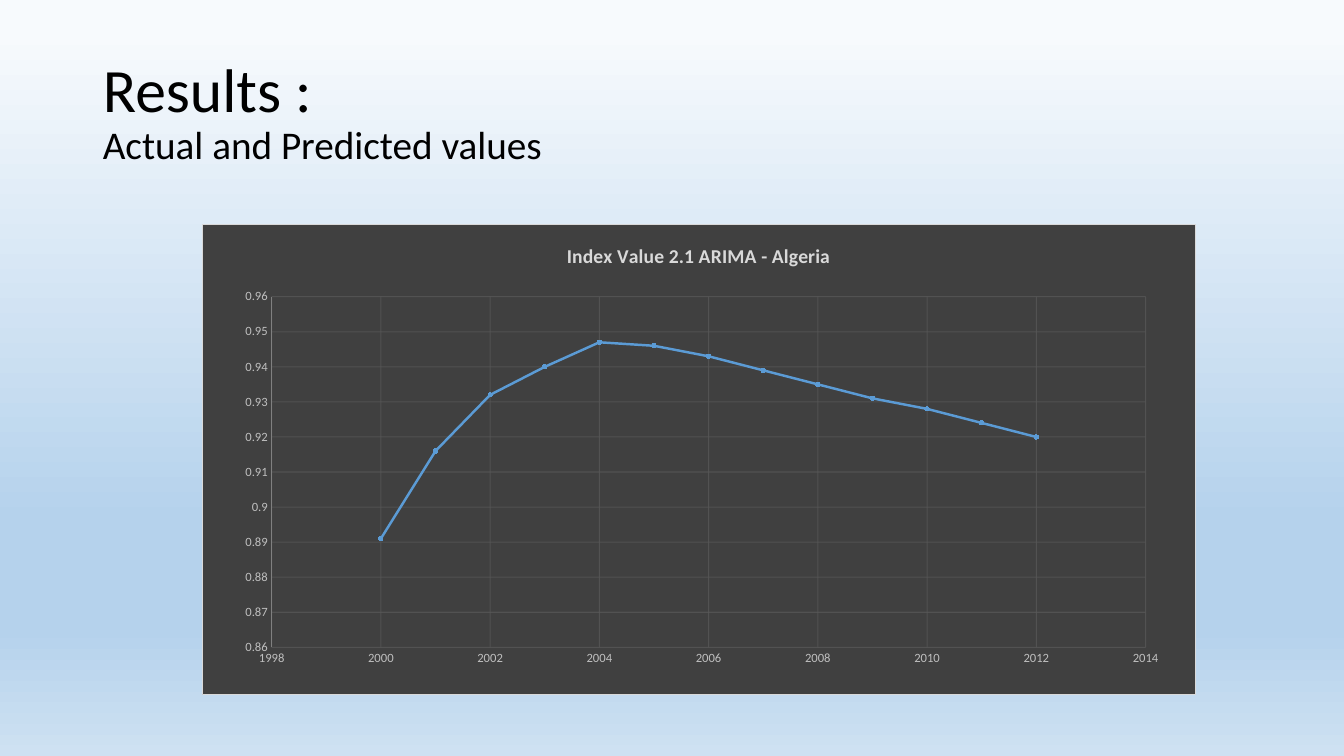
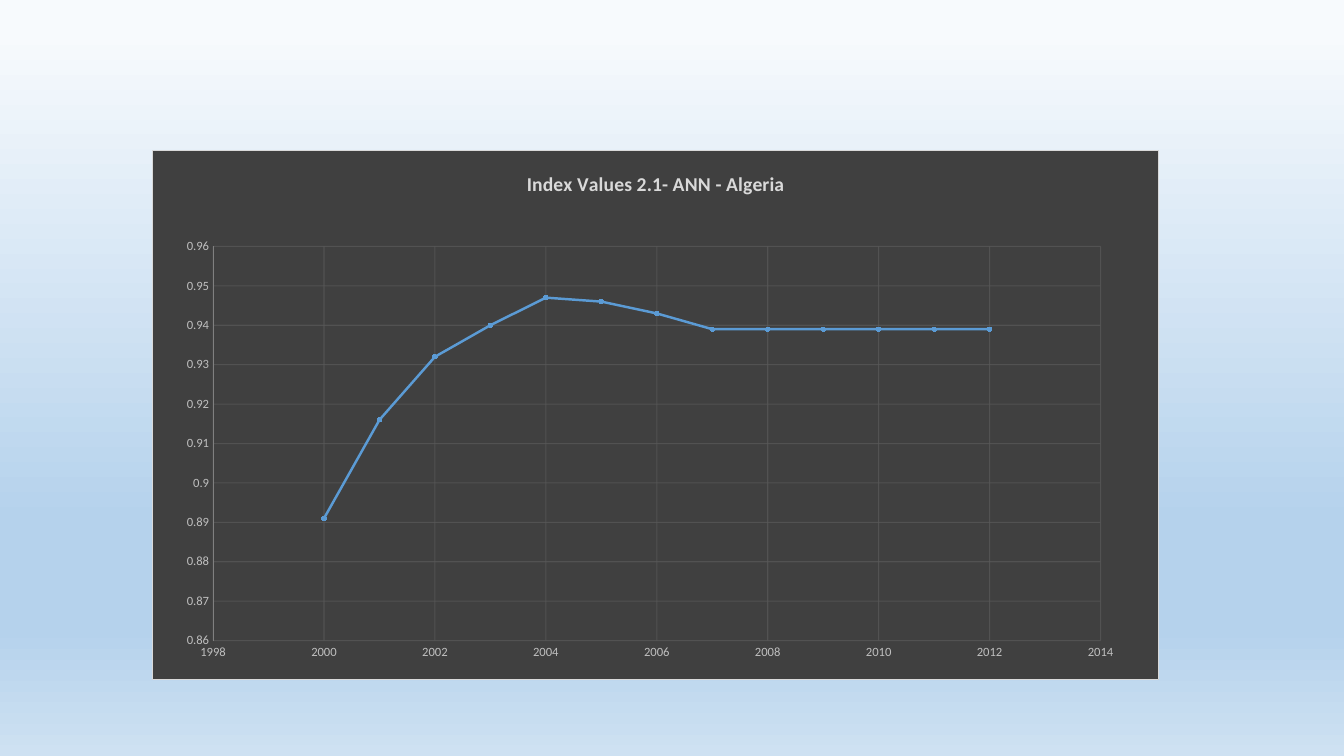
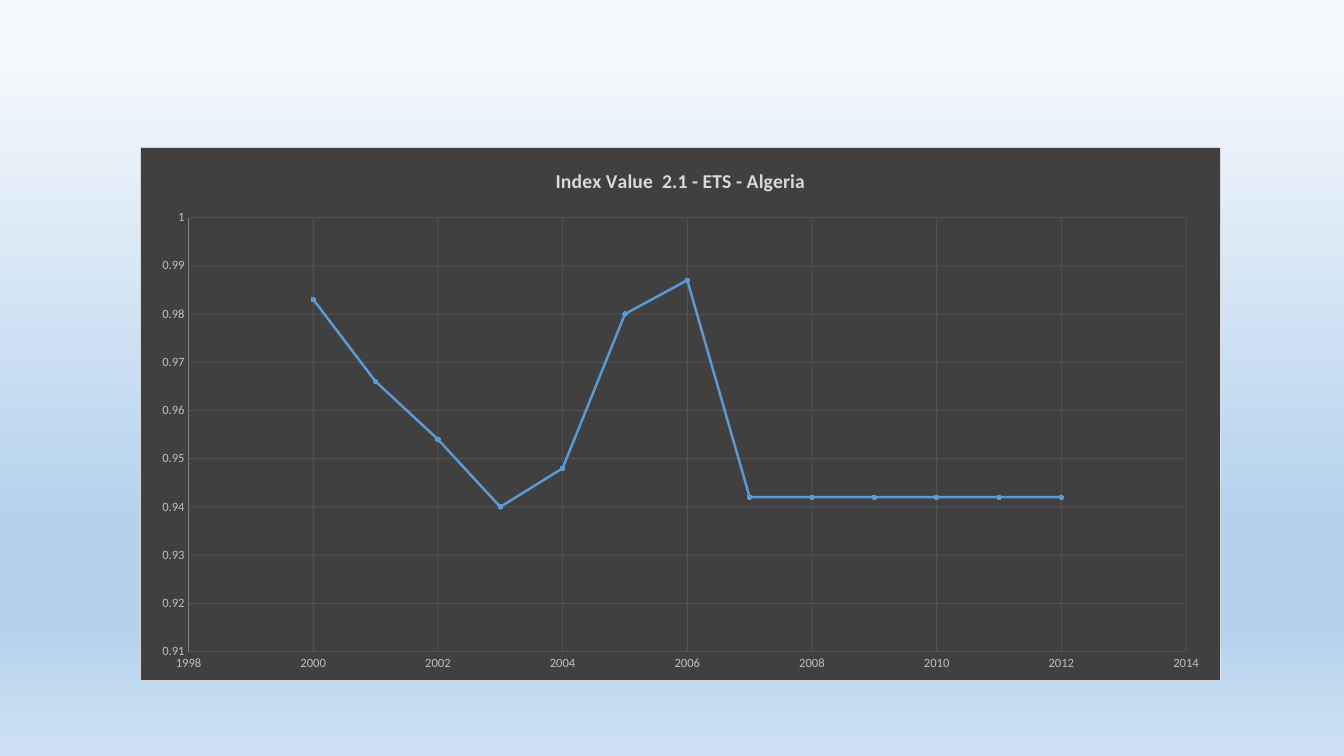
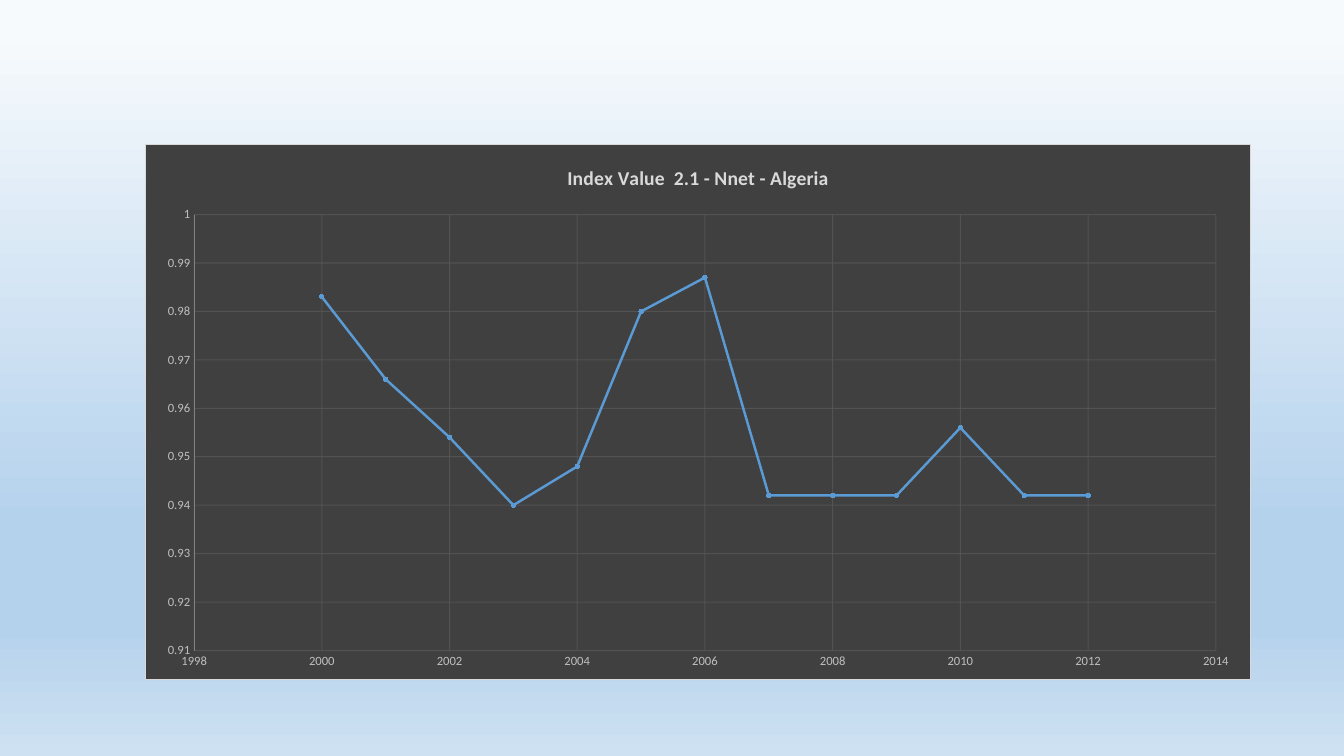
from lxml import etree
from pptx import Presentation
from pptx.chart.data import XyChartData
from pptx.dml.color import RGBColor
from pptx.enum.chart import XL_CHART_TYPE, XL_MARKER_STYLE, XL_TICK_MARK
from pptx.enum.text import MSO_ANCHOR, PP_ALIGN
from pptx.oxml import parse_xml
from pptx.oxml.ns import nsdecls, qn
from pptx.util import Inches, Pt

SCATTER_LINES = XL_CHART_TYPE.XY_SCATTER_LINES
CIRCLE = XL_MARKER_STYLE.CIRCLE
NO_TICKS = XL_TICK_MARK.NONE
MIDDLE = MSO_ANCHOR.MIDDLE
LEFT = PP_ALIGN.LEFT

FONT = "Calibri"
BLACK = "000000"
PANEL = "404040"
PALE = "D9D9D9"
LABEL = "BFBFBF"
GRID = "595959"
AXIS = "808080"
BLUE = "5B9BD5"
LIGHT_BLUE = "9DC3E6"
SKY = [(4, "F7FAFD"), (69, "B5D2EC"), (83, "B5D2EC"), (100, "CEE1F2")]

TITLE_ONLY, BLANK = 5, 6
YEARS = range(2000, 2013)
# The forecasts share their first, observed years.
ARIMA_ACTUAL = [0.891, 0.916, 0.932, 0.94, 0.947, 0.946, 0.943]
ETS_ACTUAL = [0.983, 0.966, 0.954, 0.94, 0.948, 0.98, 0.987]

# Title, place, value range, values, inner plot area (None: automatic)
FORECASTS = [
    ("Index Value 2.1 ARIMA - Algeria", (2, 2.22, 9.86, 4.68), (0.86, 0.96),
     ARIMA_ACTUAL + [0.939, 0.935, 0.931, 0.928, 0.924, 0.92],
     (0.07, 0.154, 0.88, 0.745)),
    ("Index Values 2.1- ANN - Algeria", (1.51, 1.49, 9.99, 5.26), (0.86, 0.96),
     ARIMA_ACTUAL + [0.939] * 6, (0.06, 0.181, 0.882, 0.745)),
    ("Index Value  2.1 - ETS - Algeria", (1.39, 1.46, 10.72, 5.3), (0.91, 1),
     ETS_ACTUAL + [0.942] * 6, None),
    ("Index Value  2.1 - Nnet - Algeria", (1.44, 1.43, 10.97, 5.32), (0.91, 1),
     ETS_ACTUAL + [0.942, 0.942, 0.942, 0.956, 0.942, 0.942], None),
]


def rgb(color):
    """Turn a hex string into a colour."""
    return RGBColor.from_string(color)


def style_font(font, size, color, bold=False):
    """Set face, size, colour and weight of a font."""
    font.name = FONT
    font.size = Pt(size)
    font.color.rgb = rgb(color)
    font.bold = bold


def style_line(line, color, width=0.75):
    """Give a line a solid colour and a width."""
    line.color.rgb = rgb(color)
    line.width = Pt(width)


def paint_background(master):
    """Put the vertical sky gradient behind every slide."""
    fill = master.background.fill
    fill.gradient()
    fill.gradient_angle = 270
    stops = master.element.find(".//" + qn("p:bg")).find(".//" + qn("a:gsLst"))
    for stop in list(stops):
        stops.remove(stop)
    for percent, color in SKY:
        stop = etree.SubElement(stops, qn("a:gs"), pos=str(percent * 1000))
        etree.SubElement(stop, qn("a:srgbClr"), val=color)


def set_title(slide, heading, subheading):
    """Place the title with a smaller second line."""
    title = slide.shapes.title
    title.left, title.top = Inches(0.92), Inches(0.4)
    title.width, title.height = Inches(11.5), Inches(1.45)
    title.text_frame.vertical_anchor = MIDDLE
    paragraph = title.text_frame.paragraphs[0]
    paragraph.alignment = LEFT
    paragraph.line_spacing = 0.9
    heading_run = paragraph.add_run()
    heading_run.text = heading
    style_font(heading_run.font, 44, BLACK)
    paragraph.add_line_break()
    subheading_run = paragraph.add_run()
    subheading_run.text = subheading
    style_font(subheading_run.font, 28, BLACK)


def style_axis(axis, low, high, step):
    """Scale an axis and give it faint gridlines and grey labels."""
    axis.minimum_scale, axis.maximum_scale = low, high
    axis.major_unit = step
    axis.major_tick_mark = axis.minor_tick_mark = NO_TICKS
    axis.has_major_gridlines = True
    gridlines = axis.major_gridlines.format.line
    style_line(gridlines, GRID)
    grid_color = axis.major_gridlines._xAx.find(
        qn("c:majorGridlines")).find(".//" + qn("a:srgbClr"))
    etree.SubElement(grid_color, qn("a:alpha"), val="75000")
    style_font(axis.tick_labels.font, 9, LABEL)
    axis.tick_labels.number_format = "General"
    axis.tick_labels.number_format_is_linked = False


def paint_panel(chart):
    """Fill the chart area dark with a pale border."""
    chart.element.find(qn("c:chart")).addnext(parse_xml(
        f'<c:spPr {nsdecls("c", "a")}>'
        f'<a:solidFill><a:srgbClr val="{PANEL}"/></a:solidFill>'
        f'<a:ln w="{Pt(0.75)}"><a:solidFill><a:srgbClr val="{PALE}"/>'
        '</a:solidFill></a:ln></c:spPr>'))


def place_plot(chart, area):
    """Fix the inner plot area, given as fractions of the chart."""
    plot_area = chart.element.find(".//" + qn("c:plotArea"))
    for layout in plot_area.findall(qn("c:layout")):
        plot_area.remove(layout)
    layout = etree.Element(qn("c:layout"))
    manual = etree.SubElement(layout, qn("c:manualLayout"))
    settings = [("layoutTarget", "inner"), ("xMode", "edge"), ("yMode", "edge")]
    for tag, value in settings + list(zip("xywh", area)):
        etree.SubElement(manual, qn("c:" + tag), val=str(value))
    plot_area.insert(0, layout)


def add_forecast(slide, title, place, value_range, values, plot_area):
    """Add the dark chart of one model's index values by year."""
    data = XyChartData()
    index = data.add_series(title)
    for year, value in zip(YEARS, values):
        index.add_data_point(year, value)
    chart = slide.shapes.add_chart(
        SCATTER_LINES, *(Inches(length) for length in place), data).chart
    style_font(chart.font, 10, BLACK)
    paint_panel(chart)
    chart.has_legend = False
    chart.has_title = True
    chart.chart_title.include_in_layout = False
    heading = chart.chart_title.text_frame
    heading.text = title
    style_font(heading.paragraphs[0].font, 14, PALE, bold=True)

    style_axis(chart.category_axis, 1998, 2014, 2)
    chart.category_axis.format.line.fill.background()
    style_axis(chart.value_axis, *value_range, 0.01)
    style_line(chart.value_axis.format.line, AXIS)
    if plot_area:
        place_plot(chart, plot_area)

    plot = chart.plots[0]
    plot.vary_by_categories = False
    curve = plot.series[0]
    curve.smooth = False
    style_line(curve.format.line, BLUE, 1.75)
    curve.marker.style = CIRCLE
    curve.marker.size = 3
    curve.marker.format.fill.solid()
    curve.marker.format.fill.fore_color.rgb = rgb(LIGHT_BLUE)
    curve.marker.format.line.fill.background()


def main():
    """Build the four result slides."""
    deck = Presentation()
    deck.slide_width, deck.slide_height = Inches(13.33), Inches(7.5)
    paint_background(deck.slide_master)
    for number, forecast in enumerate(FORECASTS):
        layout = BLANK if number else TITLE_ONLY
        slide = deck.slides.add_slide(deck.slide_layouts[layout])
        if slide.shapes.title is not None:
            set_title(slide, "Results : ", "Actual and Predicted values")
        add_forecast(slide, *forecast)
    deck.save("out.pptx")


main()
